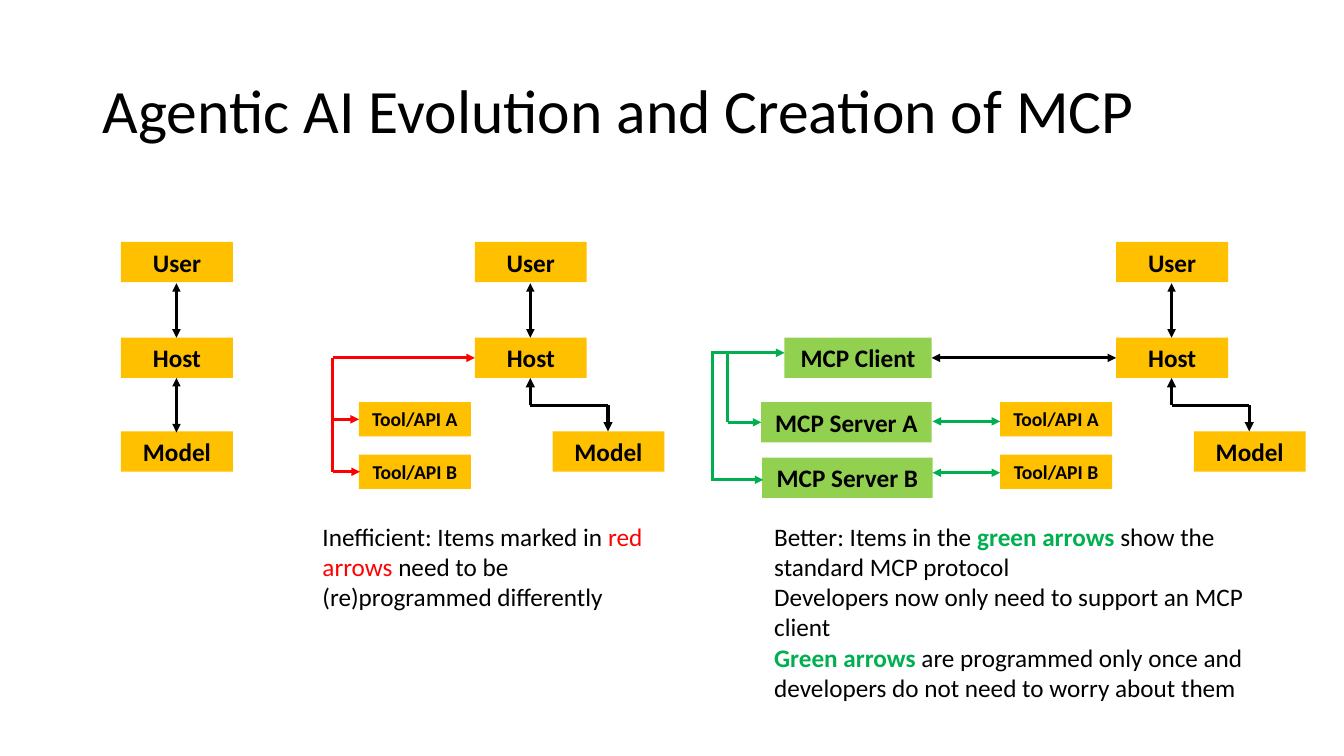
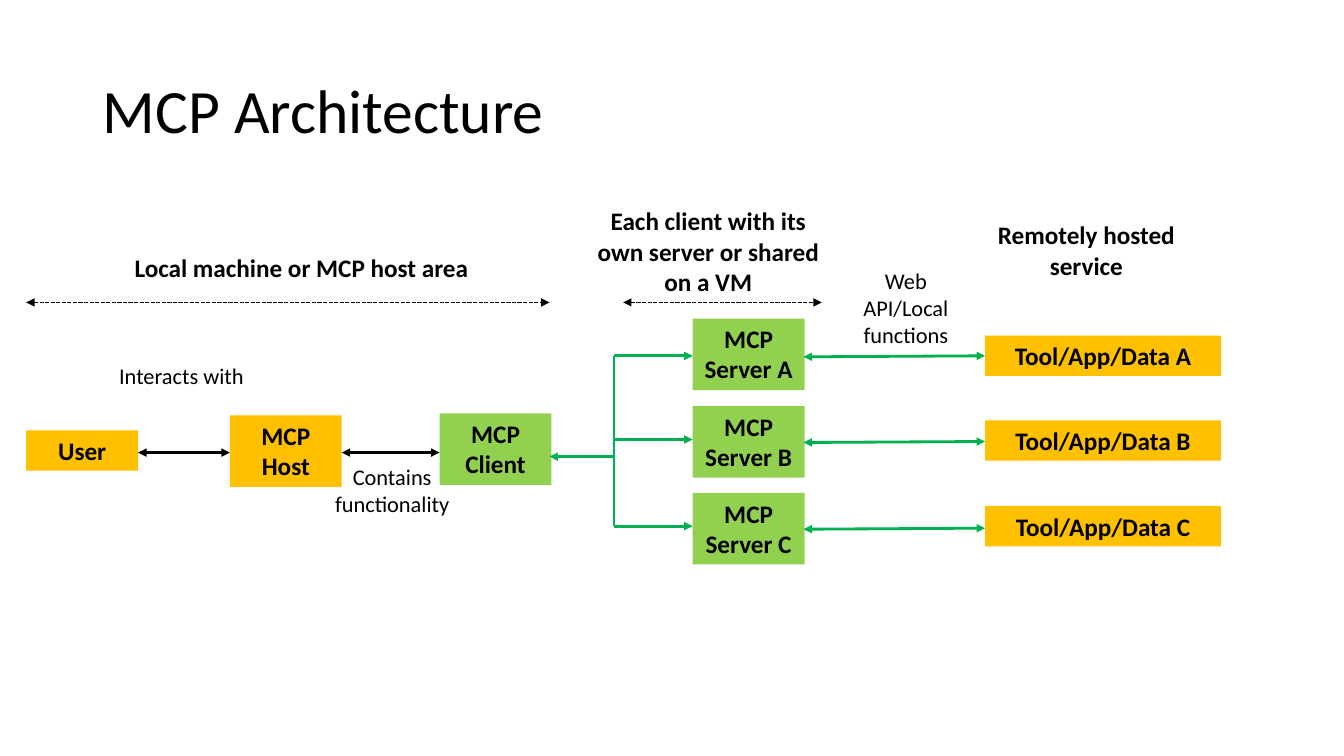
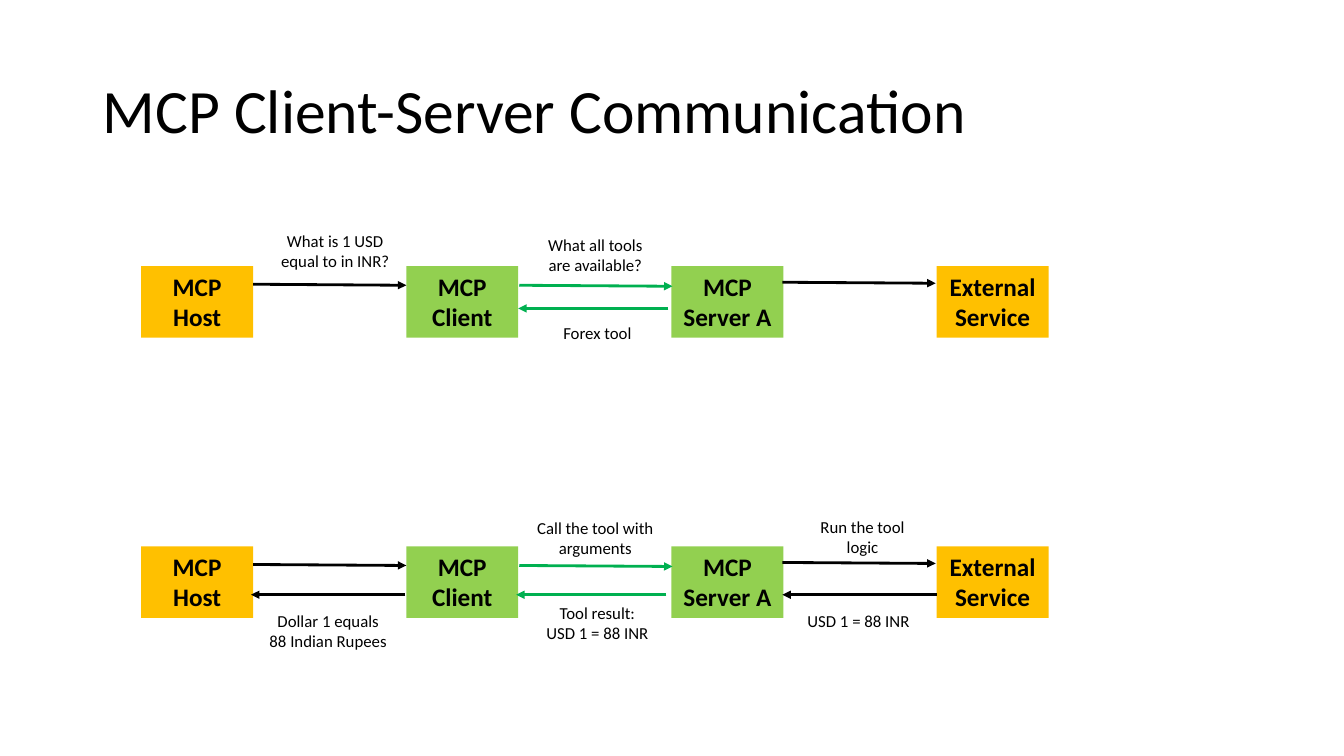
import pptx
import pptx.dml.color
import pptx.enum.dml
import pptx.enum.shapes
import pptx.enum.text
import pptx.oxml
import pptx.oxml.ns
import pptx.util
from lxml import etree

Inches = pptx.util.Inches
Pt = pptx.util.Pt
RGBColor = pptx.dml.color.RGBColor
PP_ALIGN = pptx.enum.text.PP_ALIGN
ANCHOR = pptx.enum.text.MSO_ANCHOR
qn = pptx.oxml.ns.qn

BLACK = RGBColor(0x00, 0x00, 0x00)
AMBER = RGBColor(0xFF, 0xC0, 0x00)
LIME = RGBColor(0x92, 0xD0, 0x50)
GREEN = RGBColor(0x00, 0xB0, 0x50)
RED = RGBColor(0xFF, 0x00, 0x00)

BOX_WIDTH = 1.11
LOW = 0.4
TALL = 0.71


class Diagram:
    font_name = "Calibri"

    def __init__(self):
        self.deck = pptx.Presentation()
        self.deck.slide_width = Inches(13.33)
        self.deck.slide_height = Inches(7.5)
        self.page = None

    def style(self, para, size, bold=False, align=PP_ALIGN.LEFT):
        para.alignment = align
        para.font.name = self.font_name
        para.font.size = Pt(size)
        para.font.bold = bold
        para.font.color.rgb = BLACK

    def start(self, text):
        self.page = self.deck.slides.add_slide(self.deck.slide_layouts[5])
        title = self.page.shapes.title
        title.left, title.top = Inches(0.92), Inches(0.4)
        title.width, title.height = Inches(11.5), Inches(1.45)
        frame = title.text_frame
        frame.text = text
        frame.auto_size = pptx.enum.text.MSO_AUTO_SIZE.NONE
        frame.vertical_anchor = ANCHOR.MIDDLE
        self.style(frame.paragraphs[0], 44)
        frame.paragraphs[0].line_spacing = 0.9

    def box(self, text, left, top, width=BOX_WIDTH, height=LOW, fill=AMBER, size=18):
        box = self.page.shapes.add_shape(
            pptx.enum.shapes.MSO_SHAPE.RECTANGLE,
            Inches(left), Inches(top), Inches(width), Inches(height))
        box.shadow.inherit = False
        box.fill.solid()
        box.fill.fore_color.rgb = fill
        box.line.fill.background()
        frame = box.text_frame
        frame.word_wrap = True
        frame.vertical_anchor = ANCHOR.TOP
        frame.text = text
        self.style(frame.paragraphs[0], size, True, PP_ALIGN.CENTER)

    def label(self, text, left, top, width, height, size=12, bold=False):
        frame = self.text_frame(left, top, width, height)
        frame.text = text
        for para in frame.paragraphs:
            self.style(para, size, bold, PP_ALIGN.CENTER)

    def note(self, paragraphs, left, top, width, height):
        frame = self.text_frame(left, top, width, height)
        for index, spans in enumerate(paragraphs):
            para = frame.add_paragraph() if index else frame.paragraphs[0]
            self.style(para, 18)
            for text, color, bold in spans:
                span = para.add_run()
                span.text = text
                span.font.color.rgb = color
                span.font.bold = bold

    def text_frame(self, left, top, width, height):
        box = self.page.shapes.add_textbox(
            Inches(left), Inches(top), Inches(width), Inches(height))
        box.text_frame.word_wrap = True
        return box.text_frame

    def line(self, x1, y1, x2, y2, color=BLACK, ends="", weight=2, dashed=False):
        line = self.page.shapes.add_connector(
            pptx.enum.shapes.MSO_CONNECTOR.STRAIGHT,
            Inches(x1), Inches(y1), Inches(x2), Inches(y2))
        line.line.color.rgb = color
        line.line.width = Pt(weight)
        if dashed:
            line.line.dash_style = pptx.enum.dml.MSO_LINE.SQUARE_DOT
        outline = line.line._get_or_add_ln()
        for end in ends.split():
            etree.SubElement(outline, qn(f"a:{end}End")).set("type", "triangle")
        etree.SubElement(line._element.spPr, qn("a:effectLst"))

    def arrow(self, x1, y1, x2, y2, color=BLACK, weight=2):
        self.line(x1, y1, x2, y2, color, "tail", weight)

    def double_arrow(self, x1, y1, x2, y2, color=BLACK, weight=2, dashed=False):
        self.line(x1, y1, x2, y2, color, "head tail", weight, dashed)

    def user_and_host(self, left):
        middle = left + 0.55
        self.box("User", left, 2.4)
        self.box("Host", left, 3.35)
        self.double_arrow(middle, 2.81, middle, 3.35)

    def host_with_tools(self, left):
        self.user_and_host(left)
        self.box("Model", left + 0.77, 4.28)
        host_x, model_x = left + 0.55, left + 1.32
        self.arrow(host_x, 4.02, host_x, 3.75, weight=2.25)
        self.arrow(model_x, 4.02, model_x, 4.28, weight=2.25)
        self.line(host_x, 4.02, model_x, 4.02)
        for letter, top in (("A", 3.99), ("B", 4.51)):
            self.box(f"Tool/API {letter}", left - 1.15, top, height=0.34, size=14)


def evolution(diagram):
    diagram.start("Agentic AI Evolution and Creation of MCP")
    diagram.user_and_host(1.2)
    diagram.box("Model", 1.2, 4.28)
    diagram.double_arrow(1.75, 3.75, 1.75, 4.29)

    diagram.host_with_tools(4.71)
    diagram.line(3.3, 3.55, 3.3, 4.68, RED)
    for y, right in ((3.55, 4.71), (4.16, 3.56), (4.68, 3.57)):
        diagram.arrow(3.3, y, right, y, RED)

    diagram.host_with_tools(11.07)
    diagram.double_arrow(9.24, 3.55, 11.07, 3.55)
    diagram.box("MCP Client", 7.78, 3.35, 1.46, fill=LIME)
    for letter, left, top, y in (("A", 7.55, 3.99, 4.18), ("B", 7.56, 4.54, 4.69)):
        diagram.box(f"MCP Server {letter}", left, top, 1.69, fill=LIME)
        diagram.double_arrow(9.25, y, 9.92, y, GREEN)
    diagram.line(7.07, 3.5, 7.07, 4.76, GREEN)
    diagram.line(7.22, 3.5, 7.22, 4.19, GREEN, weight=2.25)
    for left, y, right in ((7.05, 3.5, 7.78), (7.22, 4.19, 7.55), (7.05, 4.76, 7.57)):
        diagram.arrow(left, y, right, y, GREEN)

    diagram.note([
        [("Inefficient: Items marked in ", BLACK, False),
         ("red arrows", RED, False),
         (" need to be (re)programmed differently", BLACK, False)],
    ], 3.1, 5.12, 3.49, 1.01)
    diagram.note([
        [("Better: Items in the ", BLACK, False),
         ("green arrows", GREEN, True),
         (" show the standard MCP protocol", BLACK, False)],
        [("Developers now only need to support an MCP client", BLACK, False)],
        [("Green arrows ", GREEN, True),
         ("are programmed only once and developers do not need to worry about them",
          BLACK, False)],
    ], 7.58, 5.12, 4.89, 1.92)


def architecture(diagram):
    diagram.start("MCP Architecture")
    diagram.box("User", 0.26, 4.27)
    diagram.box("MCP Host", 2.28, 4.12, height=TALL)
    diagram.box("MCP Client", 4.36, 4.1, height=TALL, fill=LIME)
    diagram.double_arrow(1.37, 4.49, 2.28, 4.49)
    diagram.double_arrow(3.39, 4.49, 4.36, 4.49)

    diagram.line(6.09, 3.53, 6.09, 5.22, GREEN)
    diagram.arrow(6.09, 4.53, 5.45, 4.53, GREEN)
    rows = (("A", 3.16, 3.33, 3.53, 3.54),
            ("B", 4.03, 4.17, 4.36, 4.39),
            ("C", 4.89, 5.02, 5.22, 5.25))
    for letter, server_top, tool_top, branch_y, link_y in rows:
        diagram.box(f"MCP Server {letter}", 6.87, server_top, height=TALL, fill=LIME)
        diagram.box(f"Tool/App/Data {letter}", 9.77, tool_top, 2.34)
        diagram.arrow(6.09, branch_y, 6.87, branch_y, GREEN)
        diagram.double_arrow(7.97, link_y, 9.77, link_y - 0.01, GREEN)

    for left, right in ((0.26, 5.45), (6.18, 8.15)):
        diagram.double_arrow(left, 3, right, 3, weight=1, dashed=True)
    headings = (("Local machine or MCP host area", 0.75, 2.45, 4.48, LOW),
                ("Each client with its own server or shared on a VM", 5.77, 1.99, 2.51, 1.01),
                ("Remotely hosted service", 9.52, 2.13, 2.51, TALL))
    for heading in headings:
        diagram.label(*heading, size=18, bold=True)
    captions = (("Web API/Local functions", 8.38, 2.6, 1.21, 0.91),
                ("Contains functionality", 3.17, 4.55, 1.44, 0.64),
                ("Interacts with", 1.08, 3.54, 1.44, 0.64))
    for caption in captions:
        diagram.label(*caption, size=16)


def communication(diagram):
    diagram.start("MCP Client-Server Communication")
    stages = (("MCP Host", AMBER), ("MCP Client", LIME),
              ("MCP Server A", LIME), ("External Service", AMBER))
    for top in (2.64, 5.42):
        for index, (name, fill) in enumerate(stages):
            diagram.box(name, 1.4 + 2.63 * index, top, height=TALL, fill=fill)
        for left, drop, color in ((2.51, 0.18, BLACK), (5.15, 0.19, GREEN),
                                  (7.76, 0.16, BLACK)):
            y = top + drop
            diagram.arrow(left, y, left + 1.52, y + 0.01, color)

    for right, left, y, color in ((6.63, 5.14, 3.06, GREEN), (4.02, 2.49, 5.9, BLACK),
                                  (6.61, 5.12, 5.9, GREEN), (9.29, 7.76, 5.9, BLACK)):
        diagram.arrow(right, y, left, y, color)

    messages = (("What is 1 USD equal to in INR?", 2.64, 2.24),
                ("What all tools are available?", 5.22, 2.28),
                ("Forex tool", 5.24, 3.15),
                ("Call the tool with arguments", 5.22, 5.09),
                ("Tool result:\nUSD 1 = 88 INR", 5.24, 5.93),
                ("Run the tool logic", 7.87, 5.08),
                ("USD 1 = 88 INR", 7.83, 6.01),
                ("Dollar 1 equals 88 Indian Rupees", 2.57, 6.01))
    for text, left, top in messages:
        diagram.label(text, left, top, 1.37, 0.5)


def main():
    diagram = Diagram()
    evolution(diagram)
    architecture(diagram)
    communication(diagram)
    diagram.deck.save("out.pptx")


if __name__ == "__main__":
    main()
